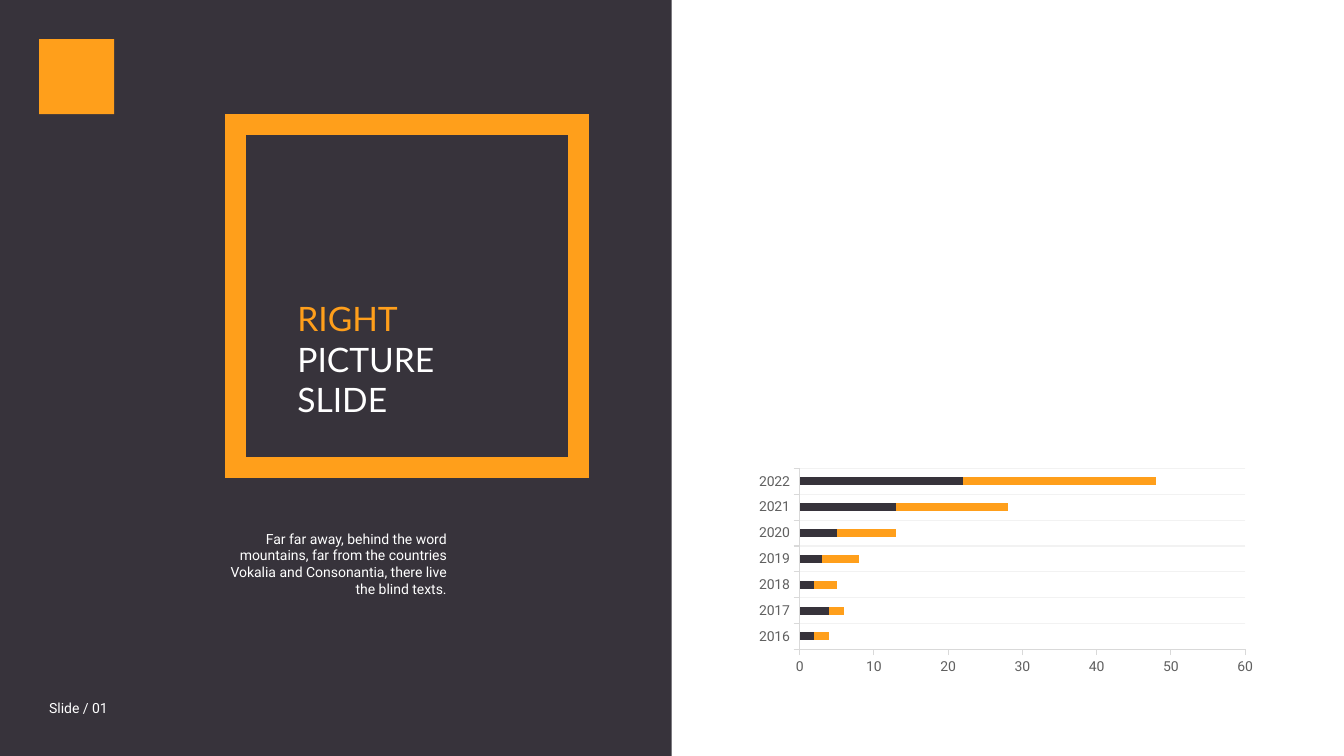
"""Builds a split slide with a framed title, a short text and a stacked bar chart."""
from lxml.etree import SubElement
from pptx import Presentation
from pptx.chart.data import CategoryChartData
from pptx.dml.color import RGBColor
from pptx.enum.chart import XL_CHART_TYPE, XL_TICK_MARK
from pptx.enum.shapes import MSO_SHAPE
from pptx.enum.text import MSO_ANCHOR, MSO_AUTO_SIZE, PP_ALIGN
from pptx.oxml.ns import qn
from pptx.util import Cm, Pt

DARK = RGBColor(0x37, 0x33, 0x3B)
ORANGE = RGBColor(0xFF, 0x9F, 0x1B)
WHITE = RGBColor(0xFF, 0xFF, 0xFF)
GREY = RGBColor(0x60, 0x60, 0x60)
AXIS = RGBColor(0xD9, 0xD9, 0xD9)
GRID = RGBColor(0xF2, 0xF2, 0xF2)


def write(box, lines, place, font="Roboto", size=10, colors=(WHITE,),
          align=PP_ALIGN.LEFT, wrap=True):
    box.left, box.top, box.width, box.height = [Cm(length) for length in place]
    frame = box.text_frame
    frame.word_wrap = wrap
    frame.auto_size = MSO_AUTO_SIZE.SHAPE_TO_FIT_TEXT
    frame.vertical_anchor = MSO_ANCHOR.TOP
    frame.text = "\n".join(lines)
    for para, color in zip(frame.paragraphs, colors):
        para.alignment = align
        para.space_before = Pt(0)
        span = para.runs[0]
        span.font.name = font
        span.font.size = Pt(size)
        span.font.color.rgb = color


def add_rectangle(left, top, width, height, fill=None):
    box = page.shapes.add_shape(MSO_SHAPE.RECTANGLE, Cm(left), Cm(top), Cm(width), Cm(height))
    box.shadow.inherit = False
    box.line.fill.background()
    if fill is None:
        box.fill.background()
    else:
        box.fill.solid()
        box.fill.fore_color.rgb = fill
    return box


deck = Presentation()
deck.slide_width, deck.slide_height = Cm(33.87), Cm(19.05)
page = deck.slides.add_slide(deck.slide_layouts[1])
title, body = page.placeholders

add_rectangle(0, 0, 16.93, 19.05, DARK)
add_rectangle(0.99, 0.99, 1.89, 1.89, ORANGE)
border = add_rectangle(5.94, 3.15, 8.64, 8.64)
border.line.color.rgb = ORANGE
border.line.width = Pt(15)
SubElement(border.element.spPr.find(qn("a:ln")), qn("a:miter"), lim="800000")

for placeholder in (title, body):
    page.shapes.element.append(placeholder.element)
write(title, ["RIGHT", "PICTURE", "SLIDE"], (7.24, 7.39, 4.14, 3.33),
      font="Lato", size=24, colors=(ORANGE, WHITE, WHITE), wrap=False)
write(body, ["Far far away, behind the word mountains, far from the countries "
             "Vokalia and Consonantia, there live the blind texts."],
      (5.13, 13.23, 6.38, 1.96), align=PP_ALIGN.RIGHT)
bullet_format = body.text_frame.paragraphs[0]._p.get_or_add_pPr()
bullet_format.set("marL", "0")
bullet_format.set("indent", "0")
SubElement(bullet_format, qn("a:buNone"))
label = page.shapes.add_textbox(0, 0, 0, 0)
write(label, ["Slide / 01"], (0.99, 17.5, 2.01, 0.69), wrap=False)

data = CategoryChartData()
data.categories = [str(year) for year in range(2016, 2023)]
data.add_series("Series 1", (2, 4, 2, 3, 5, 13, 22))
data.add_series("Series 2", (2, 2, 3, 5, 8, 15, 26))
chart = page.shapes.add_chart(XL_CHART_TYPE.BAR_STACKED, Cm(19.13), Cm(11.56),
                              Cm(12.5), Cm(5.44), data).chart
chart.has_legend = False
chart.has_title = False
chart.font.name = "Roboto"
chart.font.size = Pt(10)
chart.font.color.rgb = GREY

plot = chart.plots[0]
plot.gap_width = 219
plot.overlap = 100
plot.vary_by_categories = False
for series, color in zip(plot.series, (DARK, ORANGE)):
    series.format.fill.solid()
    series.format.fill.fore_color.rgb = color

for axis in (chart.category_axis, chart.value_axis):
    axis.major_tick_mark = XL_TICK_MARK.OUTSIDE
    axis.minor_tick_mark = XL_TICK_MARK.NONE
    axis.format.line.color.rgb = AXIS
    axis.format.line.width = Pt(0.75)
chart.category_axis.has_major_gridlines = True
grid_line = chart.category_axis.major_gridlines.format.line
grid_line.color.rgb = GRID
grid_line.width = Pt(0.75)
chart.value_axis.has_major_gridlines = False
chart.value_axis.minimum_scale = 0
chart.value_axis.maximum_scale = 60
chart.value_axis.major_unit = 10

plot_area = chart.element.find(".//" + qn("c:plotArea"))
for old_layout in plot_area.findall(qn("c:layout")):
    plot_area.remove(old_layout)
layout = SubElement(plot_area, qn("c:layout"))
plot_area.insert(0, layout)
manual = SubElement(layout, qn("c:manualLayout"))
for tag, value in (("layoutTarget", "inner"), ("xMode", "edge"), ("yMode", "edge"),
                   ("x", "0.037"), ("y", "0.046"), ("w", "0.946"), ("h", "0.853")):
    SubElement(manual, qn("c:" + tag), val=value)

# The plot starts further right so that the year labels stay inside the chart.
manual.find(qn("c:x")).set("val", "0.08")
manual.find(qn("c:w")).set("val", "0.9")

deck.save("out.pptx")
